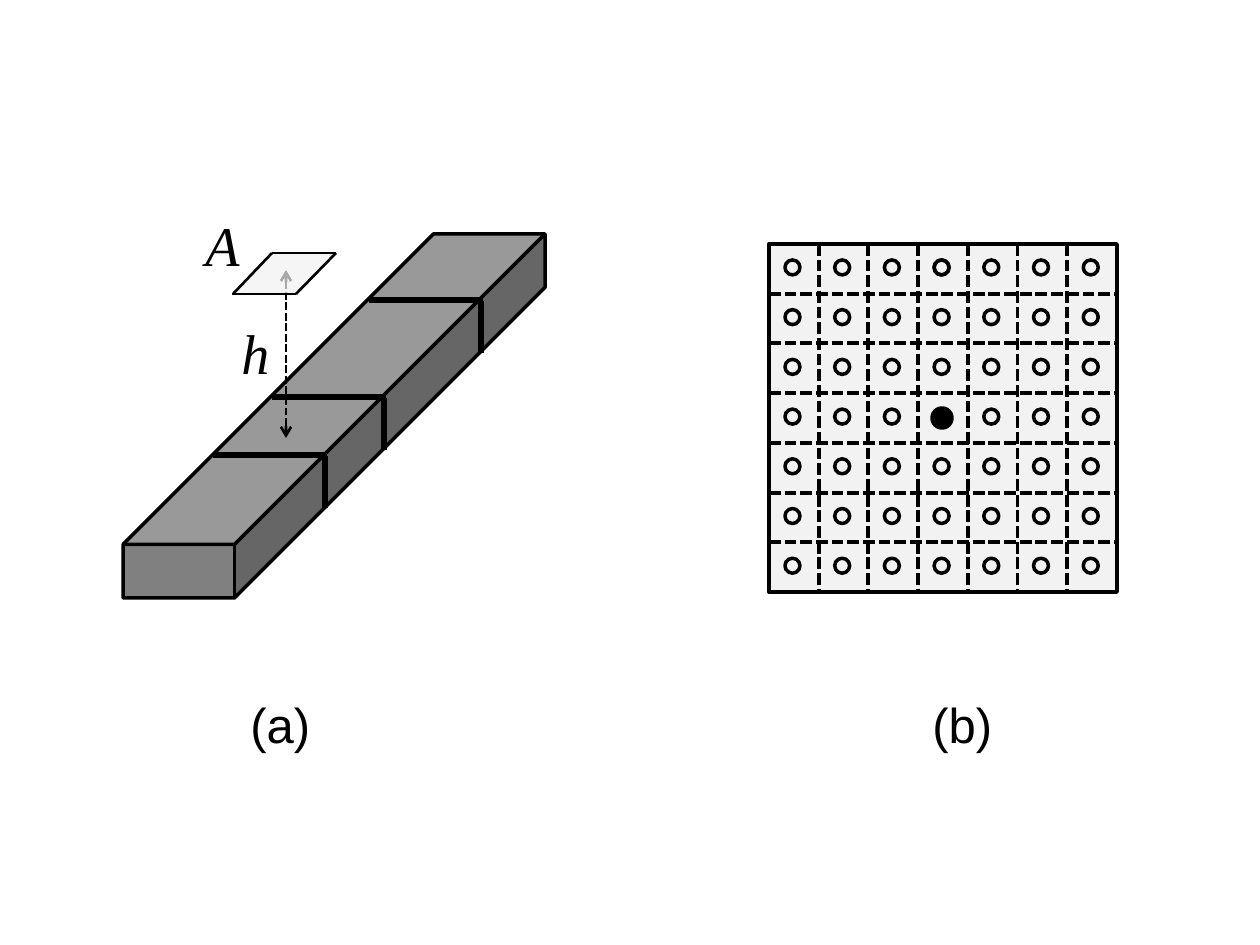
import pptx
import pptx.util
import pptx.dml.color
import pptx.enum.dml
import pptx.enum.shapes
import pptx.enum.text
import pptx.oxml.ns
from lxml import etree

SCALE = 914400 / 126
BLACK = "000000"
PALE = "F2F2F2"
KIND = pptx.enum.shapes.MSO_SHAPE
DASH = pptx.enum.dml.MSO_LINE.SQUARE_DOT
CELLS = 7
LEFT, TOP, SIDE = 769, 244, 348
Pt = pptx.util.Pt
qn = pptx.oxml.ns.qn


def px(num):
    return pptx.util.Emu(round(num * SCALE))


def rgb(code):
    return pptx.dml.color.RGBColor.from_string(code)


def style(part, form):
    for key, val in form.items():
        setattr(part, key, val)


def paint(shape, fill):
    shape.shadow.inherit = False
    if fill:
        shape.fill.solid()
        shape.fill.fore_color.rgb = rgb(fill)
    else:
        shape.fill.background()


def shape(pool, kind, box, fill, width):
    item = pool.add_shape(kind, *map(px, box))
    paint(item, fill)
    item.line.color.rgb = rgb(BLACK)
    item.line.width = Pt(width)
    return item


def line(pool, ends, width, dash=None, tips=False):
    flat = pptx.enum.shapes.MSO_CONNECTOR.STRAIGHT
    item = pool.add_connector(flat, *map(px, ends))
    item.line.color.rgb = rgb(BLACK)
    style(item.line, {"width": Pt(width), "dash_style": dash})
    props = item.element.spPr
    if tips:
        for tag in ("a:headEnd", "a:tailEnd"):
            etree.SubElement(props.find(qn("a:ln")), qn(tag), type="arrow")
    etree.SubElement(props, qn("a:effectLst"))


def label(pool, text, box, form):
    frame = pool.add_textbox(*map(px, box)).text_frame
    style(frame, {
        "word_wrap": False,
        "auto_size": pptx.enum.text.MSO_AUTO_SIZE.SHAPE_TO_FIT_TEXT,
    })
    run = frame.paragraphs[0].add_run()
    run.text = text
    style(run.font, form)
    run.font.color.rgb = rgb(BLACK)


def plate(pool):
    spots = [(234, 294), (273, 253), (336, 254), (296, 294)]
    first, *rest = [(px(x), px(y)) for x, y in spots]
    path = pool.build_freeform(*first)
    path.add_line_segments(rest, close=True)
    item = path.convert_to_shape()
    paint(item, PALE)
    item.line.fill.background()
    tint = item.element.spPr.find(qn("a:solidFill"))[0]
    etree.SubElement(tint, qn("a:alpha"), val="70000")
    for ends in ((232, 294, 296, 294), (272, 253, 336, 253),
                 (233, 294, 272, 253), (296, 294, 336, 253)):
        line(pool, ends, 1.5)


def beam(pool):
    bar = shape(pool, KIND.CUBE, (123, 234, 422, 364), "808080", 2)
    bar.adjustments[0] = 0.853
    line(pool, (286, 270, 286, 438), 1.5, DASH, True)
    plate(pool)
    for x, y in ((213, 455), (369, 300), (272, 397)):
        line(pool, (x + 112, y + 1, x + 112, y + 53), 3)
        line(pool, (x, y, x + 114, y), 3)


def grid(pool):
    step = SIDE / CELLS
    mid = CELLS // 2
    shape(pool, KIND.RECTANGLE, (LEFT, TOP, SIDE, SIDE), PALE, 2.25)
    shape(pool, KIND.OVAL, (932, 408, 20, 20), BLACK, 2)
    rows = pool.add_group_shape().shapes
    cols = pool.add_group_shape().shapes
    for i in range(1, CELLS):
        x, y = LEFT + i * step, TOP + i * step
        line(rows, (LEFT, y, LEFT + SIDE, y), 2.25, DASH)
        line(cols, (x, TOP, x, TOP + SIDE), 2.25, DASH)
    for row in range(CELLS):
        rings = pool.add_group_shape().shapes
        for col in range(CELLS):
            if (row, col) != (mid, mid):
                box = (LEFT + 16 + col * step, TOP + 16 + row * step, 15, 15)
                shape(rings, KIND.OVAL, box, None, 2)
    shape(pool, KIND.OVAL, (LEFT + 16 + mid * step, TOP + 16, 15, 15), None, 2)


def main():
    deck = pptx.Presentation()
    style(deck, {"slide_width": px(1260), "slide_height": px(945)})
    pool = deck.slides.add_slide(deck.slide_layouts[6]).shapes
    beam(pool)
    grid(pool)
    note = {"name": "Arial", "size": Pt(28)}
    sign = {"name": "Times New Roman", "size": Pt(32), "italic": True}
    label(pool, "(a)", (238, 688, 86, 72), note)
    label(pool, "(b)", (920, 688, 86, 72), note)
    label(pool, "h", (229, 312, 54, 81), sign)
    label(pool, "A", (193, 204, 60, 81), sign)
    deck.save("out.pptx")


if __name__ == "__main__":
    main()
